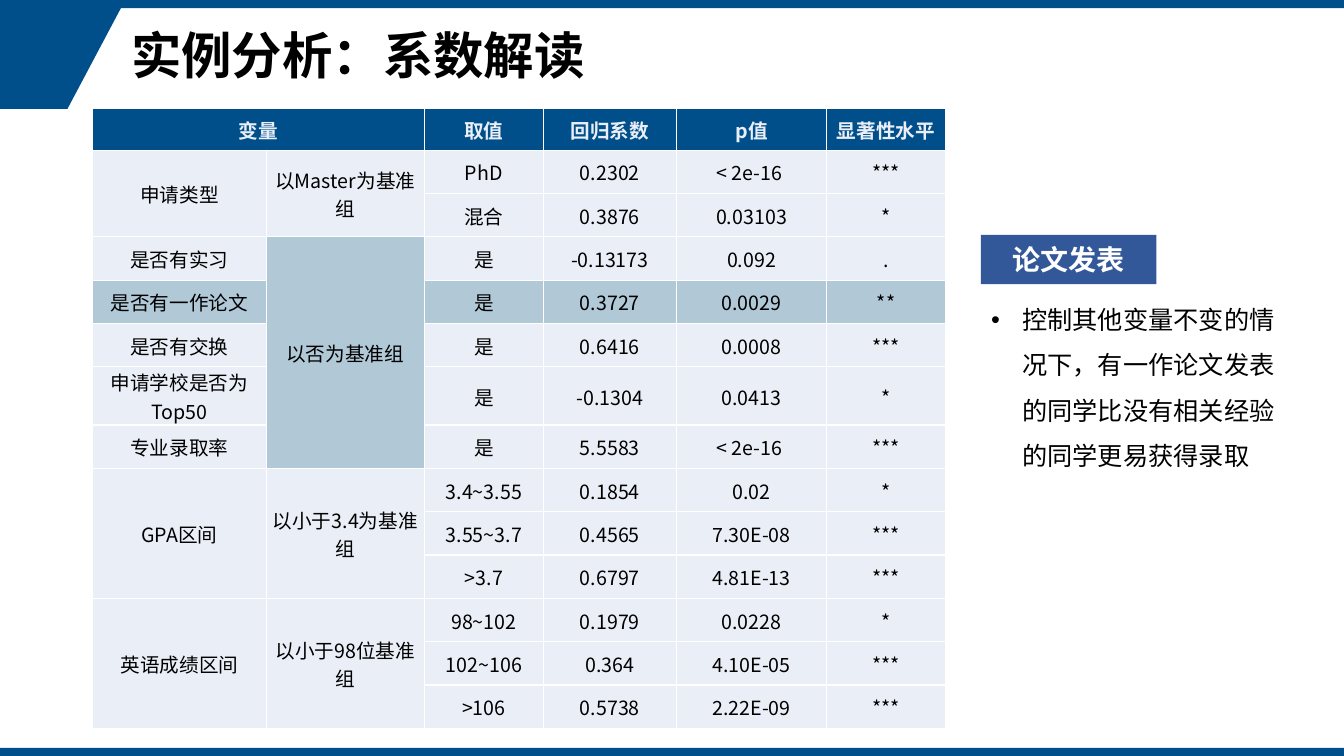
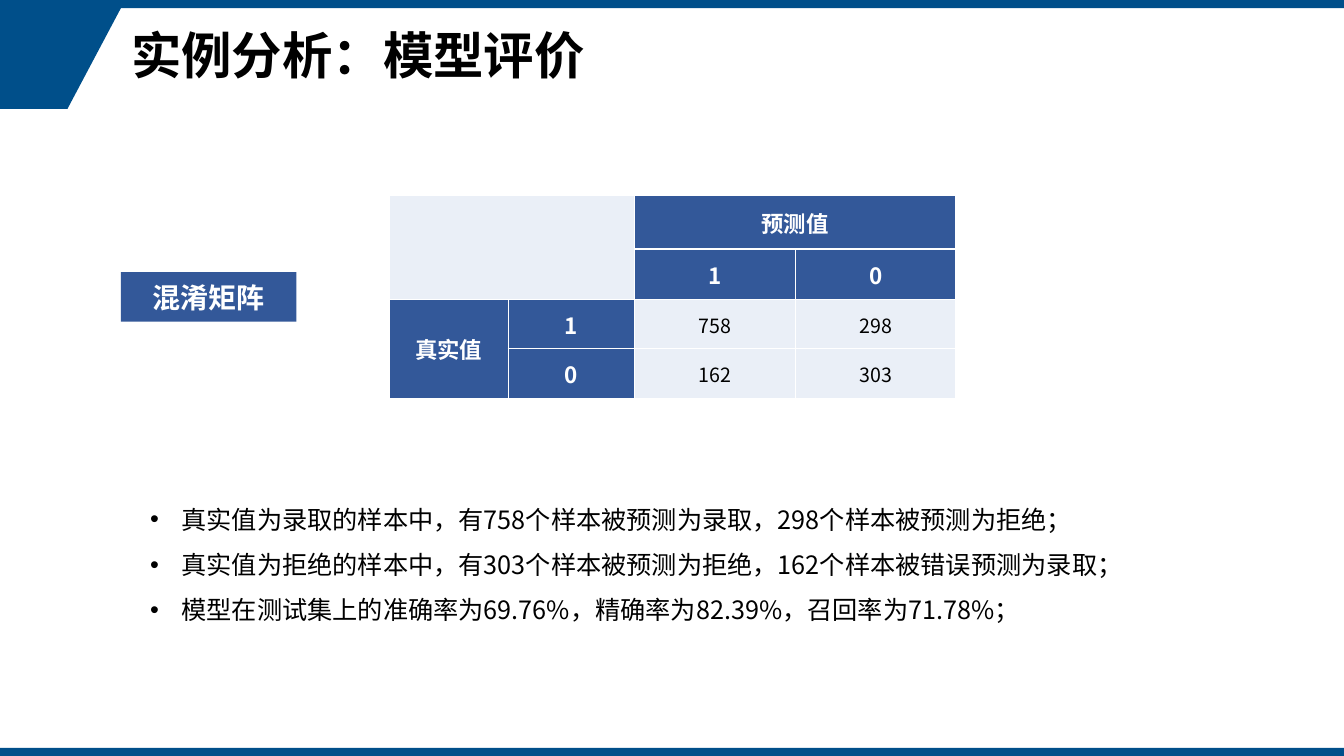
from lxml import etree
from pptx import Presentation
from pptx.dml.color import RGBColor
from pptx.enum.shapes import MSO_SHAPE
from pptx.enum.text import MSO_ANCHOR, MSO_AUTO_SIZE, PP_ALIGN
from pptx.oxml.ns import qn
from pptx.util import Inches, Pt

RECTANGLE = MSO_SHAPE.RECTANGLE
MIDDLE = MSO_ANCHOR.MIDDLE
NO_AUTOFIT = MSO_AUTO_SIZE.NONE
LEFT, CENTER = PP_ALIGN.LEFT, PP_ALIGN.CENTER

FONT = "Noto Sans CJK SC"
NAVY = "004F8A"
BLUE = "335899"
PALE = "EAEFF7"
HIGHLIGHT = "B1C8D7"
BLACK = "000000"
WHITE = "FFFFFF"
WIDTH, HEIGHT, BAND = 13.33, 7.5, 0.08


def rgb(color):
    return RGBColor.from_string(color)


def box(*lengths):
    return [Inches(length) for length in lengths]


class Deck:
    def __init__(self):
        self.presentation = Presentation()
        self.presentation.slide_width, self.presentation.slide_height = box(WIDTH, HEIGHT)
        self.layout = self.presentation.slide_layouts[1]
        self.slide = None

    def start_slide(self, title):
        self.slide = self.presentation.slides.add_slide(self.layout)
        if len(self.presentation.slides) == 1:
            self.decorate_layout()
        shape = self.slide.shapes.title
        self.place(shape, 1.2, 0.08, 11.22, 1)
        frame = shape.text_frame
        frame.auto_size = NO_AUTOFIT
        frame.vertical_anchor = MIDDLE
        frame.text = title
        paragraph = frame.paragraphs[0]
        paragraph.line_spacing = 0.9
        self.style(paragraph, 36, BLACK, True, LEFT)

    def decorate_layout(self):
        for placeholder in list(self.layout.placeholders):
            if placeholder.placeholder_format.idx >= 10:
                placeholder.element.getparent().remove(placeholder.element)
        builder = self.slide.shapes.build_freeform(*box(0, BAND), scale=1.0)
        builder.add_line_segments([box(1.2, BAND), box(0.67, 1.08), box(0, 1.08)])
        corner = builder.convert_to_shape()
        self.paint(corner, NAVY)
        bands = [self.rectangle(0, top, WIDTH, BAND, NAVY) for top in (0, HEIGHT - BAND)]
        for shape in [corner, *bands]:
            self.layout.shapes.element.append(shape.element)

    def place(self, shape, *bounds):
        shape.left, shape.top, shape.width, shape.height = box(*bounds)

    def paint(self, shape, color):
        shape.shadow.inherit = False
        shape.fill.solid()
        shape.fill.fore_color.rgb = rgb(color)
        shape.line.fill.background()

    def style(self, paragraph, size, color, bold, alignment):
        paragraph.alignment = alignment
        font = paragraph.font
        font.size, font.bold, font.name = Pt(size), bold, FONT
        font.color.rgb = rgb(color)
        properties = paragraph._p.pPr.find(qn("a:defRPr"))
        etree.SubElement(properties, qn("a:ea"), typeface=FONT)

    def rectangle(self, left, top, width, height, color):
        shape = self.slide.shapes.add_shape(RECTANGLE, *box(left, top, width, height))
        self.paint(shape, color)
        return shape

    def label(self, left, top, text):
        frame = self.rectangle(left, top, 1.74, 0.49, BLUE).text_frame
        frame.vertical_anchor = MIDDLE
        frame.text = text
        self.style(frame.paragraphs[0], 20, WHITE, True, CENTER)

    def bullets(self, left, top, width, height, lines):
        shape = self.slide.placeholders[1]
        self.place(shape, left, top, width, height)
        frame = shape.text_frame
        frame.auto_size = NO_AUTOFIT
        frame.text = "\n".join(lines)
        for paragraph in frame.paragraphs:
            paragraph.line_spacing = 1.5
            paragraph.space_before = Pt(0)
            self.style(paragraph, 18, BLACK, False, LEFT)
            paragraph._p.pPr.set("marL", str(Inches(0.31)))
            paragraph._p.pPr.set("indent", str(-Inches(0.31)))

    def table(self, left, top, columns, heights, rows, merges, cell_style):
        frame = self.slide.shapes.add_table(
            len(rows), len(columns), *box(left, top, sum(columns), sum(heights)))
        table = frame.table
        table.first_row = table.horz_banding = False
        for column, width in zip(table.columns, columns):
            column.width = Inches(width)
        for row, height in zip(table.rows, heights):
            row.height = Inches(height)
        for row_index, row in enumerate(rows):
            for column_index, text in enumerate(row):
                self.fill_cell(table.cell(row_index, column_index), text,
                               *cell_style(row_index, column_index))
        for first_row, first_column, last_row, last_column in merges:
            table.cell(first_row, first_column).merge(table.cell(last_row, last_column))

    def fill_cell(self, cell, text, fill, size, color, bold):
        cell.margin_left = cell.margin_top = cell.margin_right = Inches(0.01)
        cell.margin_bottom = 0
        cell.vertical_anchor = MIDDLE
        properties = cell._tc.get_or_add_tcPr()
        for side in ("a:lnL", "a:lnR", "a:lnT", "a:lnB"):
            line = etree.SubElement(properties, qn(side), w=str(Pt(1)))
            solid = etree.SubElement(line, qn("a:solidFill"))
            etree.SubElement(solid, qn("a:srgbClr"), val=WHITE)
        cell.fill.solid()
        cell.fill.fore_color.rgb = rgb(fill)
        cell.text = text
        self.style(cell.text_frame.paragraphs[0], size, color, bold, CENTER)


def coefficient_style(row, column):
    if row == 0:
        return NAVY, 14, PALE, True
    highlighted = row == 4 or (column == 1 and 3 <= row <= 7)
    return HIGHLIGHT if highlighted else PALE, 14, BLACK, False


def confusion_style(row, column):
    if (row < 2) != (column < 2):
        return BLUE, 16, WHITE, True
    return PALE, 14, BLACK, False


def coefficient_slide(deck):
    deck.start_slide("实例分析：系数解读")
    rows = [
        ("变量", "", "取值", "回归系数", "p值", "显著性水平"),
        ("申请类型", "以Master为基准组", "PhD", "0.2302", "< 2e-16 ", "***"),
        ("", "", "混合", "0.3876", "0.03103", "*"),
        ("是否有实习", "以否为基准组", "是", "-0.13173", "0.092", "."),
        ("是否有一作论文", "", "是", "0.3727", "0.0029", "**"),
        ("是否有交换", "", "是", "0.6416", "0.0008", "***"),
        ("申请学校是否为Top50", "", "是", "-0.1304", "0.0413", "*"),
        ("专业录取率", "", "是", "5.5583", "< 2e-16 ", "***"),
        ("GPA区间", "以小于3.4为基准组", "3.4~3.55", "0.1854", "0.02", "*"),
        ("", "", "3.55~3.7", "0.4565", "7.30E-08", "***"),
        ("", "", ">3.7", "0.6797", "4.81E-13", "***"),
        ("英语成绩区间", "以小于98位基准组", "98~102", "0.1979", "0.0228", "*"),
        ("", "", "102~106", "0.364", "4.10E-05", "***"),
        ("", "", ">106", "0.5738", "2.22E-09", "***"),
    ]
    merges = [(0, 0, 0, 1), (3, 1, 7, 1)]
    for first, last in ((1, 2), (8, 10), (11, 13)):
        merges += [(first, column, last, column) for column in (0, 1)]
    deck.table(0.92, 1.08, [1.72, 1.57, 1.18, 1.32, 1.49, 1.18],
               [0.41] + [0.43] * 13, rows, merges, coefficient_style)
    deck.label(9.73, 2.33, "论文发表")
    deck.bullets(9.73, 2.82, 3.23, 1.87, [
        "控制其他变量不变的情况下，有一作论文发表的同学比没有相关经验的同学更易获得录取",
    ])


def evaluation_slide(deck):
    deck.start_slide("实例分析：模型评价")
    rows = [
        ("", "", "预测值", ""),
        ("", "", "1", "0"),
        ("真实值", "1", "758", "298"),
        ("", "0", "162", "303"),
    ]
    merges = [(0, 0, 1, 1), (0, 2, 0, 3), (2, 0, 3, 0)]
    deck.table(3.86, 1.94, [1.18, 1.25, 1.6, 1.59], [0.53, 0.5, 0.49, 0.49],
               rows, merges, confusion_style)
    deck.label(1.2, 2.7, "混淆矩阵")
    deck.bullets(1.39, 4.8, 10.55, 1.41, [
        "真实值为录取的样本中，有758个样本被预测为录取，298个样本被预测为拒绝；",
        "真实值为拒绝的样本中，有303个样本被预测为拒绝，162个样本被错误预测为录取；",
        "模型在测试集上的准确率为69.76%，精确率为82.39%，召回率为71.78%；",
    ])


def main():
    deck = Deck()
    coefficient_slide(deck)
    evaluation_slide(deck)
    deck.presentation.save("out.pptx")


if __name__ == "__main__":
    main()
